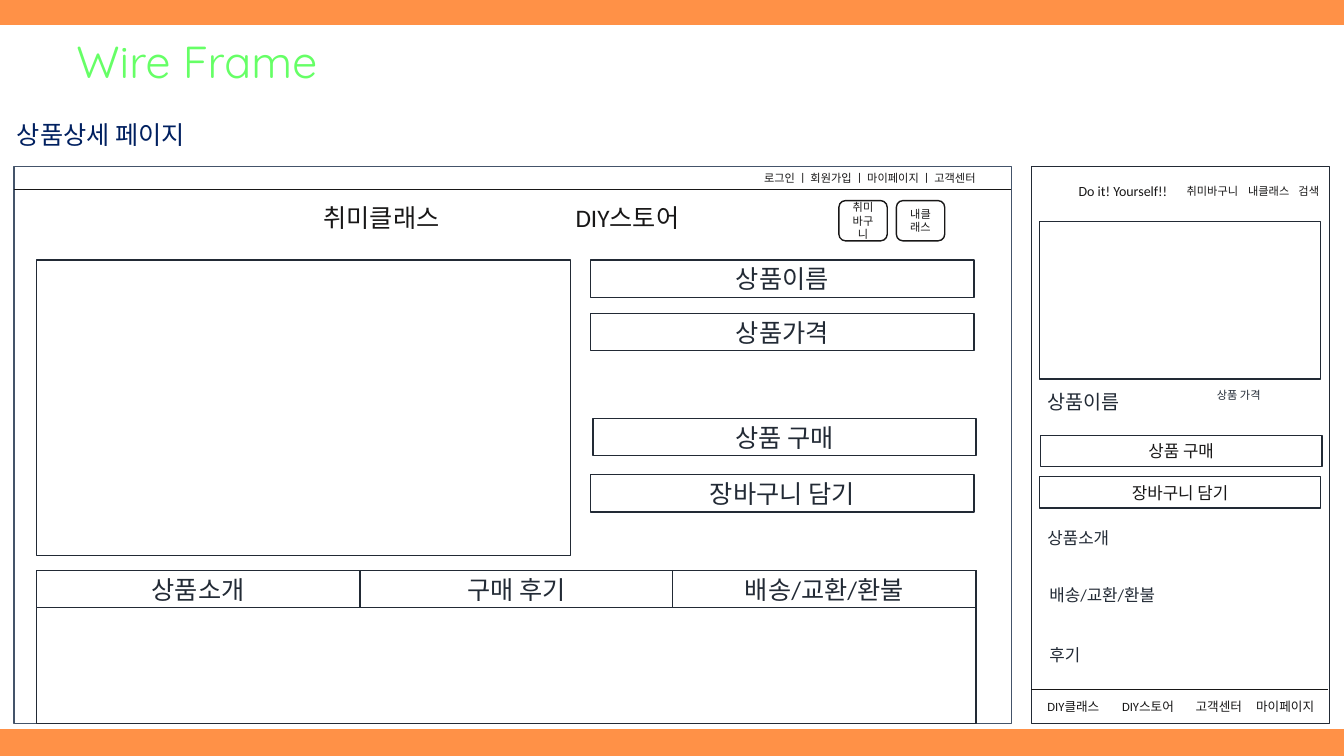
from dataclasses import dataclass

from lxml.etree import SubElement
from pptx import Presentation
from pptx.dml.color import RGBColor
from pptx.enum.shapes import MSO_CONNECTOR, MSO_SHAPE
from pptx.enum.text import MSO_ANCHOR, PP_ALIGN
from pptx.oxml.ns import qn
from pptx.util import Emu, Pt

PX = 9144


@dataclass(frozen=True)
class Theme:
    orange: str = "FF9147"
    white: str = "FFFFFF"
    green: str = "66FF66"
    navy: str = "002060"
    slate: str = "44546A"
    ink: str = "222A35"
    black: str = "181717"
    title_font: str = "Quicksand"
    body_font: str = "Calibri"
    title: int = 32
    heading: int = 18
    name: int = 14
    body: int = 12
    brand: int = 10
    menu: int = 9
    small: int = 8


THEME = Theme()


def px(*lengths):
    return [Emu(length * PX) for length in lengths]


def rgb(color):
    return RGBColor.from_string(color)


def write(shape, text, size, color, font=THEME.body_font):
    shape.text_frame.word_wrap = True
    paragraph = shape.text_frame.paragraphs[0]
    paragraph.text = text
    paragraph.font.size = Pt(size)
    paragraph.font.name = font
    paragraph.font.color.rgb = rgb(color)
    return paragraph


def add_label(slide, box, text, size, color=THEME.ink, font=THEME.body_font):
    write(slide.shapes.add_textbox(*px(*box)), text, size, color, font)


def add_box(slide, box, text="", size=THEME.heading, color=THEME.ink,
            line=THEME.ink, kind=MSO_SHAPE.RECTANGLE, filled=True):
    shape = slide.shapes.add_shape(kind, *px(*box))
    shape.shadow.inherit = False
    if filled:
        shape.fill.solid()
        shape.fill.fore_color.rgb = rgb(THEME.white)
    else:
        shape.fill.background()
    shape.line.color.rgb = rgb(line)
    shape.line.width = Pt(1)
    if text:
        write(shape, text, size, color).alignment = PP_ALIGN.CENTER
        shape.text_frame.vertical_anchor = MSO_ANCHOR.MIDDLE


def add_rule(slide, left, top, width, color):
    connector = slide.shapes.add_connector(
        MSO_CONNECTOR.STRAIGHT, *px(left, top, left + width, top))
    connector.line.color.rgb = rgb(color)
    connector.line.width = Pt(0.5)
    SubElement(connector._element.spPr, qn("a:effectLst"))


def add_header(slide, left, top):
    add_label(slide, (left + 66, top + 3, 277, 64), "Wire Frame",
              THEME.title, THEME.green, THEME.title_font)
    add_label(slide, (left + 7, top + 87, 971, 40), "상품상세 페이지",
              THEME.heading, THEME.navy)


def add_desktop_top(slide, left, top, width):
    add_rule(slide, left, top + 23, width, THEME.black)
    add_label(slide, (left + 734, top, 255, 24),
              "로그인 ㅣ 회원가입 ㅣ 마이페이지 ㅣ 고객센터", THEME.small, THEME.black)
    for offset, text in ((297, "취미클래스"), (547, "DIY스토어")):
        add_label(slide, (left + offset, top + 31, 200, 40), text,
                  THEME.heading, THEME.black)
    for index, text in enumerate(("취미바구니", "내클래스")):
        add_box(slide, (left + 818 + index * 57, top + 34, 48, 40), text,
                THEME.small, THEME.black, THEME.black,
                MSO_SHAPE.ROUNDED_RECTANGLE, filled=False)


def add_desktop_tabs(slide, left, top, width, height):
    add_box(slide, (left, top, width, height))
    tab_left = left
    for text, tab_width in (("상품소개", 321), ("구매 후기", 310), ("배송/교환/환불", 301)):
        add_box(slide, (tab_left, top, tab_width, 37), text)
        tab_left += tab_width


def add_desktop(slide, left, top, width, height):
    add_box(slide, (left, top, width, height), line=THEME.slate)
    add_desktop_top(slide, left, top, width)
    add_box(slide, (left + 22, top + 93, 530, 293))
    for x, y, text in ((572, 93, "상품이름"), (572, 146, "상품가격"),
                       (574, 250, "상품 구매"), (572, 306, "장바구니 담기")):
        add_box(slide, (left + x, top + y, 380, 37), text)
    add_desktop_tabs(slide, left + 22, top + 401, 932, height - 401)


def add_mobile(slide, left, top, width, height):
    add_box(slide, (left, top, width, height))
    add_label(slide, (left + 37, top + 11, 120, 27), "Do it! Yourself!!",
              THEME.brand, THEME.black)
    for offset, text in ((144, "취미바구니"), (205, "내클래스"), (255, "검색")):
        add_label(slide, (left + offset, top + 13, 75 if offset < 255 else 45, 24),
                  text, THEME.small, THEME.black)
    add_box(slide, (left + 8, top + 55, 279, 156))
    add_label(slide, (left + 6, top + 217, 157, 34), "상품이름", THEME.name)
    add_label(slide, (left + 174, top + 215, 118, 24), "상품 가격", THEME.small)
    for x, y, text in ((9, 267, "상품 구매"), (8, 308, "장바구니 담기")):
        add_box(slide, (left + x, top + y, 279, 31), text, THEME.body, THEME.black)
    for x, y, text in ((6, 354, "상품소개"), (8, 410, "배송/교환/환불"), (8, 470, "후기")):
        add_label(slide, (left + x, top + y, 157, 30), text, THEME.body)
    add_rule(slide, left, top + 519, width - 2, THEME.black)
    for offset, text in ((6, "DIY클래스"), (80, "DIY스토어"),
                         (153, "고객센터"), (213, "마이페이지")):
        add_label(slide, (left + offset, top + 523, 85, 25), text,
                  THEME.menu, THEME.black)


def add_wireframe_slide(presentation):
    slide = presentation.slides.add_slide(presentation.slide_layouts[6])
    slide.background.fill.solid()
    slide.background.fill.fore_color.rgb = rgb(THEME.orange)
    add_box(slide, (0, 26, 1333, 697), line=THEME.white)
    add_header(slide, 0, 26)
    add_desktop(slide, 14, 165, 989, 553)
    add_mobile(slide, 1023, 165, 296, 553)


def main():
    presentation = Presentation()
    presentation.slide_width, presentation.slide_height = px(1333, 750)
    add_wireframe_slide(presentation)
    presentation.save("out.pptx")


if __name__ == "__main__":
    main()
